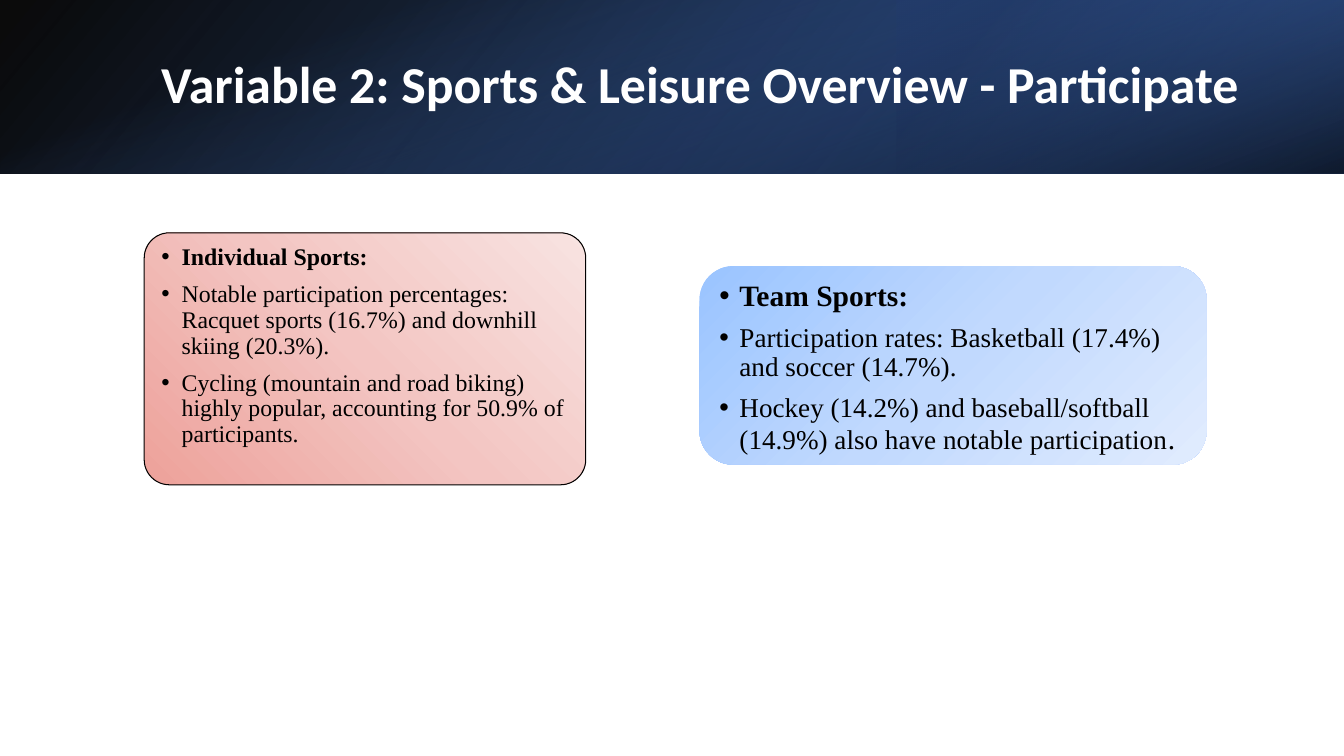
from dataclasses import dataclass

from lxml.etree import SubElement
from pptx import Presentation
from pptx.dml.color import RGBColor
from pptx.enum.shapes import MSO_SHAPE
from pptx.enum.text import MSO_ANCHOR, PP_ALIGN
from pptx.oxml.ns import qn
from pptx.util import Inches, Pt

SLIDE_WIDTH, SLIDE_HEIGHT = Inches(13.333), Inches(7.5)
BAND_HEIGHT = 22.93
BODY_FONT = "Times New Roman"


@dataclass
class Area:
    """A place on the slide, in percent of its width and height."""
    left: float
    top: float
    width: float
    height: float

    def lengths(self) -> tuple[int, int, int, int]:
        return (int(SLIDE_WIDTH * self.left / 100), int(SLIDE_HEIGHT * self.top / 100),
                int(SLIDE_WIDTH * self.width / 100), int(SLIDE_HEIGHT * self.height / 100))


@dataclass
class Stop:
    position: int
    color: str
    opacity: int = 100


@dataclass
class Band:
    area: Area
    stops: list[Stop]
    angle: int
    rotation: int = 0
    mirrored: bool = False


@dataclass
class Card:
    area: Area
    corner: float
    stops: list[Stop]
    angle: int
    heading: str
    heading_size: float
    points: list[list[tuple[str, float]]]  # each point is a list of (text, size)
    outline: str | None = None


def rgb(color: str) -> RGBColor:
    return RGBColor.from_string(color)


def fill_gradient(shape, stops: list[Stop], angle: int) -> None:
    """Fill with a linear gradient whose angle runs clockwise."""
    shape.fill.gradient()
    gradient = shape._element.spPr.find(qn("a:gradFill"))
    for child in list(gradient):
        gradient.remove(child)
    gradient.set("rotWithShape", "1")
    stop_list = SubElement(gradient, qn("a:gsLst"))
    for stop in stops:
        mark = SubElement(stop_list, qn("a:gs"), pos=str(stop.position * 1000))
        color = SubElement(mark, qn("a:srgbClr"), val=stop.color)
        if stop.opacity < 100:
            SubElement(color, qn("a:alpha"), val=str(stop.opacity * 1000))
    SubElement(gradient, qn("a:lin"), ang=str(angle * 60000), scaled="0")


def add_text(paragraph, text: str, *, size: float, font: str = BODY_FONT,
             color: str = "000000", bold: bool = False) -> None:
    run = paragraph.add_run()
    run.text = text
    run.font.size = Pt(size)
    run.font.name = font
    run.font.color.rgb = rgb(color)
    run.font.bold = bold


def format_bullet(paragraph, first: bool) -> None:
    properties = paragraph._p.get_or_add_pPr()
    properties.set("marL", str(Inches(0.2)))
    properties.set("indent", str(Inches(-0.2)))
    SubElement(properties, qn("a:buFont"), typeface="Arial")
    SubElement(properties, qn("a:buChar"), char="•")
    paragraph.alignment = PP_ALIGN.LEFT
    paragraph.line_spacing = 0.9
    if not first:
        paragraph.space_before = Pt(8.1)


def draw_band(slide, band: Band) -> None:
    left, top, width, height = band.area.lengths()
    if band.rotation % 180 == 90:  # a quarter turn swaps the sides about the centre
        left, top = left + (width - height) // 2, top + (height - width) // 2
        width, height = height, width
    shape = slide.shapes.add_shape(MSO_SHAPE.RECTANGLE, left, top, width, height)
    shape.rotation = band.rotation
    if band.mirrored:
        shape._element.spPr.xfrm.set("flipH", "1")
    shape.shadow.inherit = False
    shape.line.fill.background()
    fill_gradient(shape, band.stops, band.angle)


def draw_card(slide, card: Card) -> None:
    shape = slide.shapes.add_shape(MSO_SHAPE.ROUNDED_RECTANGLE, *card.area.lengths())
    shape.adjustments[0] = card.corner
    shape.shadow.inherit = False
    fill_gradient(shape, card.stops, card.angle)
    if card.outline:
        shape.line.color.rgb = rgb(card.outline)
        shape.line.width = Pt(0.75)
    else:
        shape.line.fill.background()
    frame = shape.text_frame
    frame.word_wrap = True
    frame.vertical_anchor = MSO_ANCHOR.TOP
    heading = frame.paragraphs[0]
    format_bullet(heading, first=True)
    add_text(heading, card.heading, size=card.heading_size, bold=True)
    for point in card.points:
        paragraph = frame.add_paragraph()
        format_bullet(paragraph, first=False)
        for text, size in point:
            add_text(paragraph, text, size=size)


def draw_title(slide, text: str, area: Area) -> None:
    frame = slide.shapes.add_textbox(*area.lengths()).text_frame
    frame.word_wrap = True
    frame.vertical_anchor = MSO_ANCHOR.MIDDLE
    frame.paragraphs[0].line_spacing = 0.9
    add_text(frame.paragraphs[0], text, size=37, font="Calibri", color="FFFFFF", bold=True)


# Layered gradients of the header
HEADER = Area(0, 0, 100, BAND_HEIGHT)
BANDS = [
    Band(HEADER, [Stop(0, "000000", 96), Stop(100, "2F5597")], 140, mirrored=True),
    Band(Area(66.67, 0, 33.33, BAND_HEIGHT),
         [Stop(19, "203864", 68), Stop(100, "4472C4", 79)], 320, rotation=180, mirrored=True),
    Band(HEADER, [Stop(23, "4472C4", 0), Stop(99, "000000", 74)], 340, rotation=90),
]

# The two groups of sports
CARDS = [
    Card(Area(10.73, 30.8, 32.85, 33.33), 0.1,
         [Stop(0, "EDA19A"), Stop(50, "F3C5C2"), Stop(100, "F8E3E1")], 315,
         "Individual Sports:", 17,
         [[("Notable participation percentages: Racquet sports (16.7%) "
            "and downhill skiing (20.3%).", 17)],
          [("Cycling (mountain and road biking) highly popular, "
            "accounting for 50.9% of participants.", 17)]],
         outline="000000"),
    Card(Area(52.05, 35.2, 37.73, 26.27), 0.17,
         [Stop(0, "9AC4FF"), Stop(50, "C1D9FE"), Stop(100, "E1ECFE")], 45,
         "Team Sports:", 21.1,
         [[("Participation rates: Basketball (17.4%) and soccer (14.7%).", 19.4)],
          [("Hockey (14.2%) and baseball/softball (14.9%) "
            "also have notable participation", 19.4), (".", 21.1)]]),
]


def main() -> None:
    deck = Presentation()
    deck.slide_width, deck.slide_height = SLIDE_WIDTH, SLIDE_HEIGHT
    slide = deck.slides.add_slide(deck.slide_layouts[6])
    for band in BANDS:
        draw_band(slide, band)
    draw_title(slide, "Variable 2: Sports & Leisure Overview - Participate",
               Area(11.25, 5.07, 82.35, 12.8))
    for card in CARDS:
        draw_card(slide, card)
    deck.save("out.pptx")


if __name__ == "__main__":
    main()
